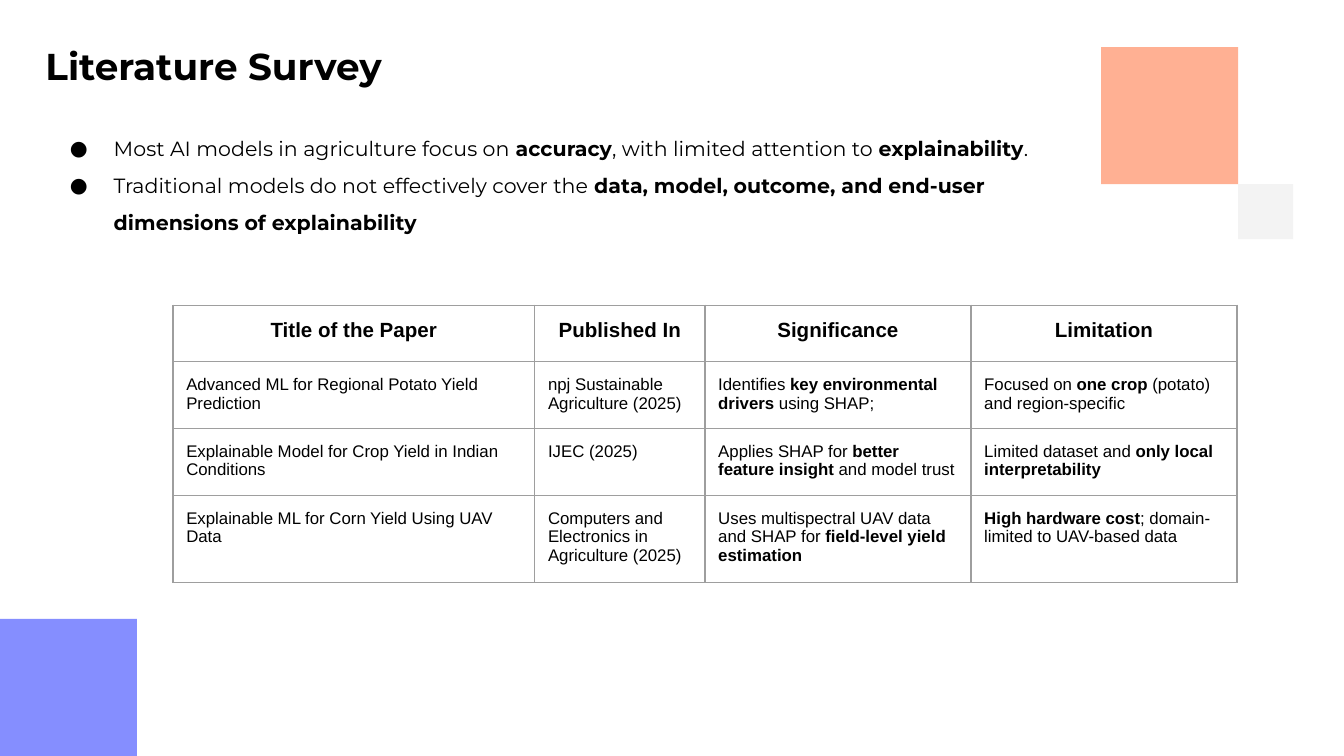
import dataclasses

import pptx
import pptx.dml.color
import pptx.enum.shapes
import pptx.enum.text
import pptx.oxml
import pptx.oxml.ns
import pptx.util
from pptx.util import Cm

ALIGN = pptx.enum.text.PP_ALIGN


@dataclasses.dataclass(frozen=True)
class Theme:
    ink: str = "000000"
    border: str = "9E9E9E"
    blue: str = "858EFF"
    peach: str = "FFB093"
    pale: str = "F3F3F3"
    display_font: str = "Montserrat"
    table_font: str = "Arial"
    title_size: int = 20
    body_size: int = 11
    cell_size: int = 9
    border_width: float = 0.75
    inset: float = 0.25


THEME = Theme()

FINDINGS = [
    "Most AI models in agriculture focus on **accuracy**, with limited attention to **explainability**.",
    "Traditional models do not effectively cover the "
    "**data, model, outcome, and end-user dimensions of explainability**",
]
HEADINGS = ["Title of the Paper", "Published In", "Significance", "Limitation"]
PAPERS = [
    ["Advanced ML for Regional Potato Yield Prediction",
     "npj Sustainable Agriculture (2025)",
     "Identifies **key environmental drivers** using SHAP;",
     "Focused on **one crop** (potato) and region-specific"],
    ["Explainable Model for Crop Yield in Indian Conditions",
     "IJEC (2025)",
     "Applies SHAP for **better feature insight **and model trust",
     "Limited dataset and **only local interpretability**"],
    ["Explainable ML for Corn Yield Using UAV Data",
     "Computers and Electronics in Agriculture (2025)",
     "Uses multispectral UAV data and SHAP for **field-level yield estimation**",
     "**High hardware cost**; domain-limited to UAV-based data"],
]


def rgb(value):
    return pptx.dml.color.RGBColor.from_string(value)


def add_xml(parent, markup):
    """Append one element, given as markup in the a: namespace."""
    namespace = pptx.oxml.ns.nsdecls("a")
    parent.append(pptx.oxml.parse_xml(markup.replace(" ", f" {namespace} ", 1)))


def write(paragraph, text, *, font, size, color=THEME.ink, bold=False,
          align=ALIGN.LEFT, spacing=None):
    """Fill a paragraph; parts between ** marks are bold."""
    paragraph.alignment = align
    if spacing:
        paragraph.line_spacing = spacing
    for index, part in enumerate(text.split("**")):
        if not part:
            continue
        run = paragraph.add_run()
        run.text = part
        run.font.name = font
        run.font.size = pptx.util.Pt(size)
        run.font.color.rgb = rgb(color)
        run.font.bold = bold or index % 2 == 1


def add_bullet(paragraph):
    properties = paragraph._p.get_or_add_pPr()
    properties.set("marL", str(Cm(1.27)))
    properties.set("indent", str(-Cm(0.83)))
    add_xml(properties, f'<a:buClr ><a:srgbClr val="{THEME.ink}"/></a:buClr>')
    add_xml(properties, f'<a:buFont typeface="{THEME.display_font}"/>')
    add_xml(properties, '<a:buChar char="●"/>')


def set_insets(target):
    for side in ("left", "top", "right", "bottom"):
        setattr(target, f"margin_{side}", Cm(THEME.inset))


def add_text_frame(slide, box):
    frame = slide.shapes.add_textbox(*map(Cm, box)).text_frame
    frame.word_wrap = True
    set_insets(frame)
    return frame


def add_square(slide, left, top, side, color):
    square = slide.shapes.add_shape(
        pptx.enum.shapes.MSO_SHAPE.RECTANGLE, Cm(left), Cm(top), Cm(side), Cm(side))
    square.shadow.inherit = False
    square.fill.solid()
    square.fill.fore_color.rgb = rgb(color)
    square.line.fill.background()


def add_decoration(slide, box):
    """Place a square in the bottom left corner and two that touch at top right."""
    left, top, width, height = box
    large, small = 2.59, 1.04
    corner_left, corner_top = left + width - 2, top + 3.48
    add_square(slide, left, top + height - large, large, THEME.blue)
    add_square(slide, corner_left - large, corner_top - large, large, THEME.peach)
    add_square(slide, corner_left, corner_top, small, THEME.pale)


def add_title(slide, box):
    frame = add_text_frame(slide, box)
    write(frame.paragraphs[0], "Literature Survey", font=THEME.display_font,
          size=THEME.title_size, bold=True)


def add_findings(slide, box):
    frame = add_text_frame(slide, box)
    for index, finding in enumerate(FINDINGS):
        paragraph = frame.add_paragraph() if index else frame.paragraphs[0]
        paragraph.line_spacing = 1.5
        add_bullet(paragraph)
        write(paragraph, finding, font=THEME.display_font, size=THEME.body_size)


def style_cell(cell):
    properties = cell._tc.get_or_add_tcPr()
    width = pptx.util.Pt(THEME.border_width)
    for side in "LRTB":
        add_xml(properties, f'<a:ln{side} w="{width}"><a:solidFill>'
                            f'<a:srgbClr val="{THEME.border}"/></a:solidFill></a:ln{side}>')
    cell.fill.background()
    set_insets(cell)


def add_papers_table(slide, box):
    rows = [HEADINGS, *PAPERS]
    table = slide.shapes.add_table(len(rows), len(HEADINGS), *map(Cm, box)).table
    table.first_row = table.horz_banding = False
    shares = (0.34, 0.16, 0.25, 0.25)
    for column, share in zip(table.columns, shares):
        column.width = Cm(box[2] * share)
    for row_index, row in enumerate(rows):
        header = row_index == 0
        for column_index, text in enumerate(row):
            cell = table.cell(row_index, column_index)
            style_cell(cell)
            write(cell.text_frame.paragraphs[0], text, font=THEME.table_font,
                  size=THEME.body_size if header else THEME.cell_size, bold=header,
                  align=ALIGN.CENTER if header else ALIGN.LEFT)


def main():
    presentation = pptx.Presentation()
    width, height = 25.4, 14.29
    presentation.slide_width, presentation.slide_height = Cm(width), Cm(height)
    slide = presentation.slides.add_slide(presentation.slide_layouts[6])
    add_decoration(slide, (0, 0, width, height))
    add_title(slide, (0.61, 0.56, 20.68, 1.52))
    add_findings(slide, (0.63, 2.08, 19.69, 2.95))
    add_papers_table(slide, (3.27, 5.77, 20.11, 4.27))
    presentation.save("out.pptx")


if __name__ == "__main__":
    main()
